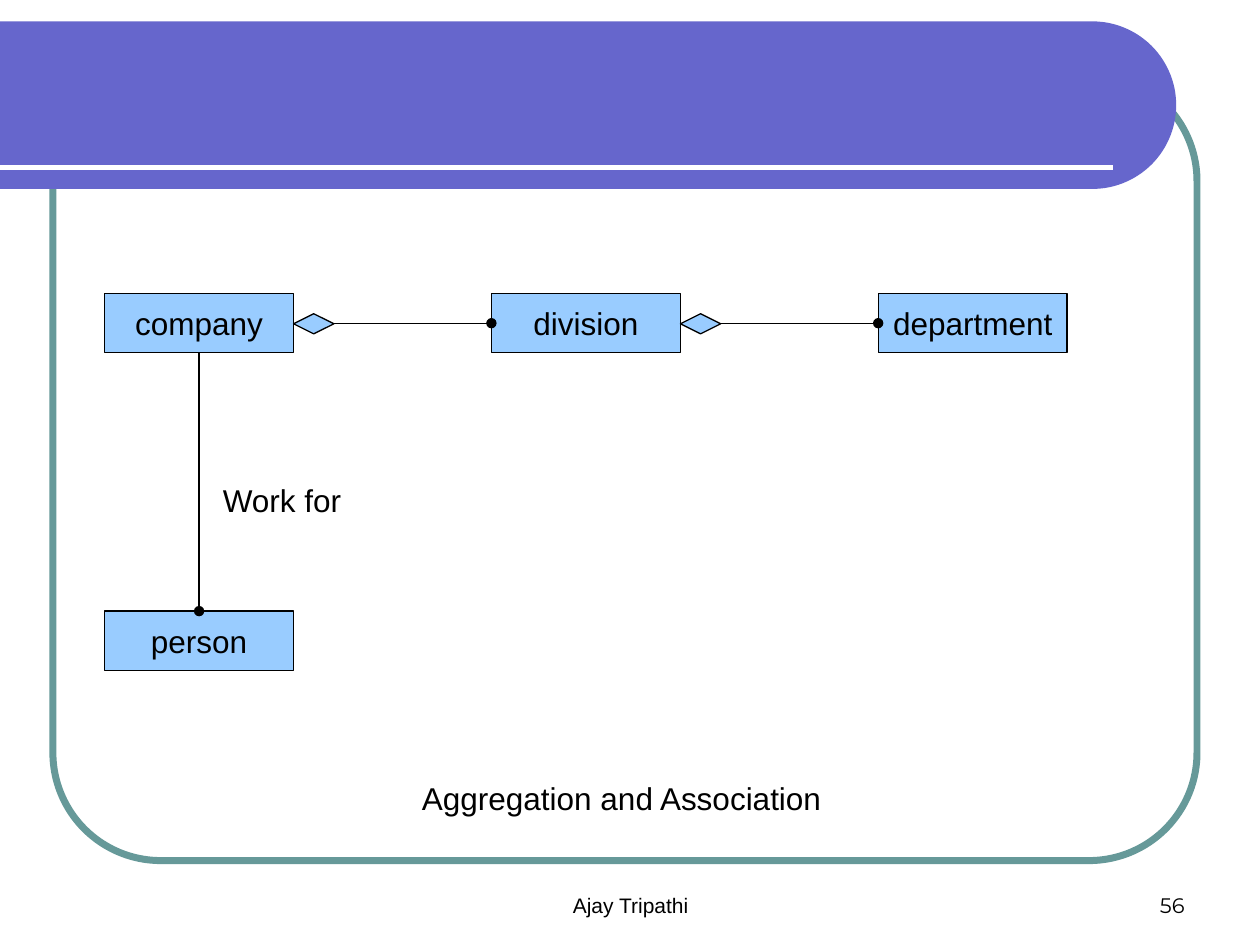
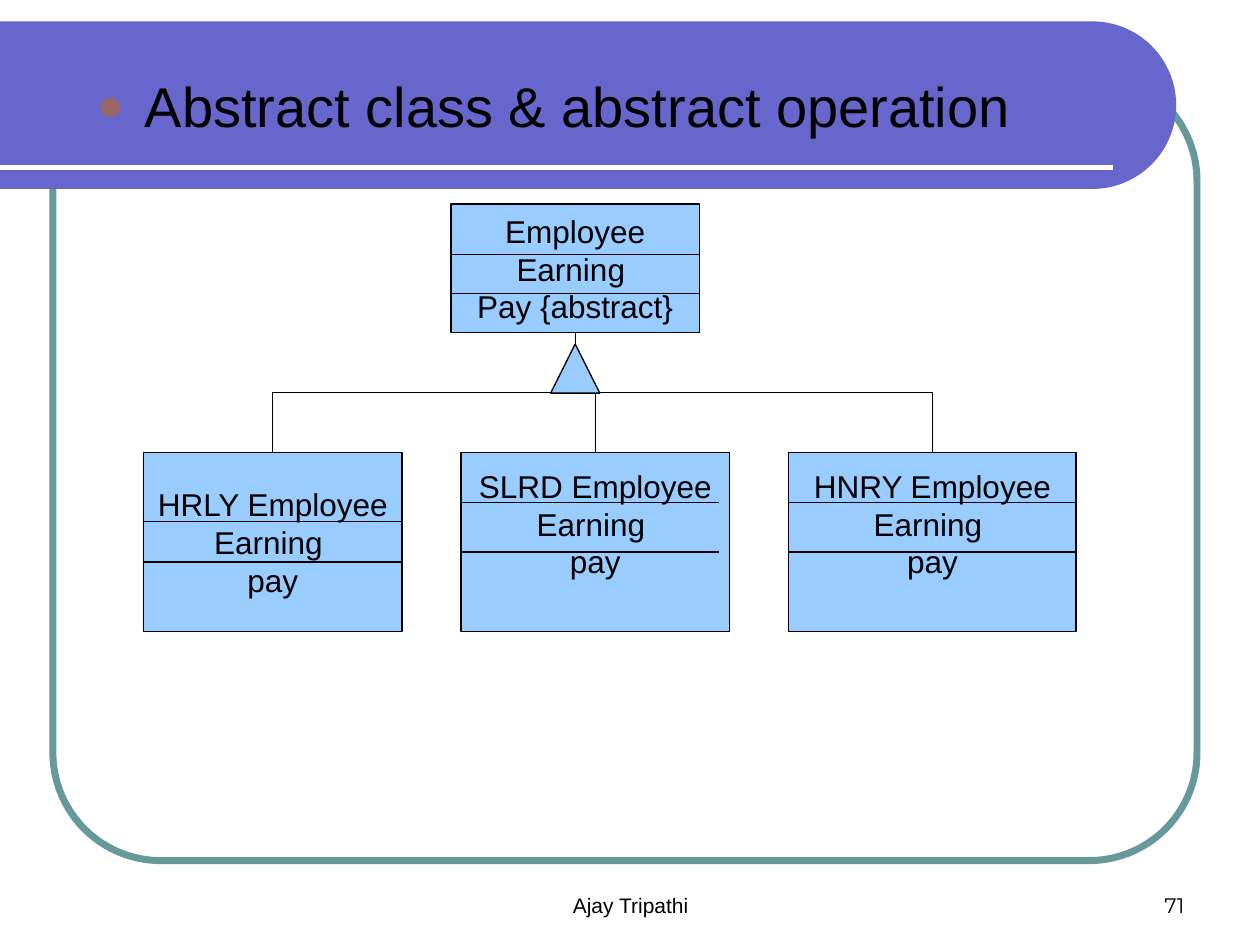
import math
from dataclasses import dataclass
from typing import Any

import pptx
import pptx.dml.color
import pptx.enum.shapes
import pptx.enum.text
import pptx.oxml
import pptx.oxml.ns
import pptx.util
from lxml import etree

Inches = pptx.util.Inches
Pt = pptx.util.Pt
Shape = pptx.enum.shapes.MSO_SHAPE
Line = pptx.enum.shapes.MSO_CONNECTOR
Align = pptx.enum.text.PP_ALIGN
Anchor = pptx.enum.text.MSO_ANCHOR
AutoSize = pptx.enum.text.MSO_AUTO_SIZE
qn = pptx.oxml.ns.qn
TOP, LEFT, BOTTOM, RIGHT = range(4)


@dataclass(frozen=True)
class Theme:
    ink: str = "000000"
    paper: str = "FFFFFF"
    band: str = "6666CC"
    frame: str = "669999"
    box: str = "99CCFF"
    bullet: str = "996666"
    font: str = "Arial"
    number_font: str = "Montserrat"
    heading: int = 32
    body: int = 18
    footer: int = 12
    thin: float = 0.75
    band_rule: float = 3
    frame_line: float = 4


THEME = Theme()


@dataclass(frozen=True)
class Area:
    left: float
    top: float
    width: float
    height: float

    def lengths(self) -> list[int]:
        return [Inches(v) for v in (self.left, self.top, self.width, self.height)]


@dataclass(frozen=True)
class ClassBox:
    area: Area
    lines: tuple[str, ...]
    rules: tuple[float, ...] = ()
    rule_width: float = 0
    bottom_inset: float = 0.05


@dataclass(frozen=True)
class Label:
    area: Area
    text: str
    size: int = THEME.body
    font: str = THEME.font
    align: Any = Align.LEFT
    frame_format: tuple = (("word_wrap", False), ("auto_size", AutoSize.SHAPE_TO_FIT_TEXT))


def rgb(value: str) -> pptx.dml.color.RGBColor:
    return pptx.dml.color.RGBColor.from_string(value)


def apply(target: Any, values: dict[str, Any]) -> None:
    for name, value in values.items():
        setattr(target, name, value)


def set_line(line: Any, color: str = THEME.ink, width: float = THEME.thin) -> None:
    line.color.rgb = rgb(color)
    line.width = Pt(width)


def write(frame: Any, lines: tuple[str, ...], align: Any,
          size: int = THEME.body, font: str = THEME.font) -> None:
    for index, text in enumerate(lines):
        paragraph = frame.add_paragraph() if index else frame.paragraphs[0]
        paragraph.text = text
        paragraph.alignment = align
        apply(paragraph.font, {"size": Pt(size), "name": font})
        paragraph.font.color.rgb = rgb(THEME.ink)


def add_shape(slide: Any, kind: Any, area: Area, fill: str = THEME.box) -> Any:
    shape = slide.shapes.add_shape(kind, *area.lengths())
    shape.shadow.inherit = False
    shape.fill.solid()
    shape.fill.fore_color.rgb = rgb(fill)
    set_line(shape.line)
    return shape


def add_line(slide: Any, start: tuple[float, float], end: tuple[float, float],
             kind: Any = Line.STRAIGHT, color: str = THEME.ink,
             width: float = THEME.thin) -> Any:
    line = slide.shapes.add_connector(kind, *[Inches(v) for v in (*start, *end)])
    set_line(line.line, color, width)
    etree.SubElement(line.element.spPr, qn("a:effectLst"))
    return line


def add_label(slide: Any, label: Label) -> None:
    holder = slide.shapes.add_textbox(*label.area.lengths())
    apply(holder.text_frame, dict(label.frame_format))
    write(holder.text_frame, (label.text,), label.align, label.size, label.font)


def add_class(slide: Any, box: ClassBox) -> Any:
    shape = add_shape(slide, Shape.RECTANGLE, box.area)
    apply(shape.text_frame, {"word_wrap": False, "vertical_anchor": Anchor.MIDDLE,
                             "margin_bottom": Inches(box.bottom_inset)})
    write(shape.text_frame, box.lines, Align.CENTER)
    right = box.area.left + (box.rule_width or box.area.width)
    for y in box.rules:
        add_line(slide, (box.area.left, y), (right, y))
    return shape


def add_association(slide: Any, source: Any, source_side: int,
                    target: Any, target_side: int) -> None:
    line = add_line(slide, (0, 0), (1, 1))
    line.begin_connect(source, source_side)
    line.end_connect(target, target_side)
    tail = etree.SubElement(line.line._get_or_add_ln(), qn("a:tailEnd"))
    tail.set("type", "oval")


def add_inheritance(slide: Any, parent: Any, child: Any) -> None:
    """Elbow that leaves the parent downwards and enters the child from above."""
    start_x, start_y = parent.left + parent.width // 2, parent.top + parent.height
    end_x, end_y = child.left + child.width // 2, child.top
    elbow = add_line(slide, (0, 0), (1, 1), Line.ELBOW)
    elbow.begin_connect(parent, BOTTOM)
    elbow.end_connect(child, TOP)
    drop, reach = end_y - start_y, abs(end_x - start_x)
    apply(elbow, {"left": (start_x + end_x - drop) // 2,
                  "top": (start_y + end_y - reach) // 2,
                  "width": drop, "height": reach})
    to_right = end_x > start_x
    transform = elbow.element.spPr.find(qn("a:xfrm"))
    transform.set("rot", str((270 if to_right else 90) * 60000))
    transform.set("flipH", "1" if to_right else "0")
    transform.set("flipV", "0")


def add_backdrop(slide: Any, number: str) -> None:
    # Rounded frame
    frame = add_shape(slide, Shape.ROUNDED_RECTANGLE, Area(0.42, 0.58, 9.08, 6.25))
    frame.adjustments[0] = 0.137
    frame.fill.background()
    set_line(frame.line, THEME.frame, THEME.frame_line)

    # Band with a half-round right end
    top, radius, center_x = 0.17, 0.665, 8.67
    arc = [(center_x + radius * math.sin(math.radians(a)),
            top + radius - radius * math.cos(math.radians(a))) for a in range(0, 181, 3)]
    builder = slide.shapes.build_freeform(0, Inches(top))
    builder.add_line_segments([(Inches(x), Inches(y)) for x, y in arc]
                              + [(0, Inches(top + 2 * radius))])
    band = builder.convert_to_shape()
    band.shadow.inherit = False
    band.fill.solid()
    band.fill.fore_color.rgb = rgb(THEME.band)
    band.line.fill.background()
    add_line(slide, (0, 1.33), (8.83, 1.33), color=THEME.paper, width=THEME.band_rule)

    # Footer
    footer_format = (("word_wrap", True), ("vertical_anchor", Anchor.BOTTOM))
    for label in (
        Label(Area(3.42, 6.83, 3.17, 0.5), "Ajay Tripathi", THEME.footer,
              THEME.font, Align.CENTER, footer_format),
        Label(Area(7.17, 6.83, 2.33, 0.5), number, THEME.footer,
              THEME.number_font, Align.RIGHT, footer_format),
    ):
        add_label(slide, label)


def add_heading(slide: Any, text: str) -> None:
    title, body = slide.shapes.title, slide.placeholders[1]
    title.element.getparent().remove(title.element)
    body.element.getparent().append(body.element)  # bring in front of the band
    apply(body, dict(zip(("left", "top", "width", "height"),
                         Area(0.67, 0.52, 8.67, 6.06).lengths())))
    body.text_frame.auto_size = AutoSize.NONE
    paragraph = body.text_frame.paragraphs[0]
    properties = paragraph._p.get_or_add_pPr()
    properties.set("marL", str(Inches(0.38)))
    properties.set("indent", str(-Inches(0.38)))
    color = etree.SubElement(properties, qn("a:buClr"))
    etree.SubElement(color, qn("a:srgbClr")).set("val", THEME.bullet)
    etree.SubElement(properties, qn("a:buSzPct")).set("val", "80000")
    etree.SubElement(properties, qn("a:buChar")).set("char", "●")
    paragraph.space_before = Pt(0)
    write(body.text_frame, (text,), Align.LEFT, THEME.heading)


def build_association(deck: Any) -> None:
    slide = deck.slides.add_slide(deck.slide_layouts[6])
    add_backdrop(slide, "56")

    # Classes: one row of three, and one below the first
    left, top, step, width, height = 0.83, 2.33, 3.07, 1.5, 0.47
    company, division, department = [
        add_class(slide, ClassBox(Area(left + i * step, top, width, height), (name,)))
        for i, name in enumerate(("company", "division", "department"))]
    person = add_class(slide, ClassBox(Area(left, 4.85, width, height), ("person",)))

    # Associations, with a diamond at each whole
    add_association(slide, company, RIGHT, division, LEFT)
    add_association(slide, division, RIGHT, department, LEFT)
    add_association(slide, company, BOTTOM, person, TOP)
    for i in range(2):
        add_shape(slide, Shape.DIAMOND, Area(left + width + i * step, 2.49, 0.32, 0.16))

    add_label(slide, Label(Area(1.67, 3.77, 1.14, 0.4), "Work for"))
    add_label(slide, Label(Area(3.25, 6.13, 3.38, 0.4), "Aggregation and Association"))


def build_abstract_class(deck: Any) -> None:
    slide = deck.slides.add_slide(deck.slide_layouts[1])
    add_backdrop(slide, "71")
    add_heading(slide, "Abstract class & abstract operation")

    # Parent class and its three subclasses
    members = ("Earning ", "pay")
    top, height, raised = 3.59, 1.42, 0.34
    employee = add_class(slide, ClassBox(
        Area(3.58, 1.62, 1.97, 1.02), ("Employee", "Earning ", "Pay {abstract}"),
        (2.02, 2.33)))
    subclasses = [add_class(slide, box) for box in (
        ClassBox(Area(1.14, top, 2.05, height), ("HRLY Employee", *members), (4.14, 4.46)),
        ClassBox(Area(3.66, top, 2.13, height), ("SLRD Employee", *members),
                 (3.99, 4.38), 2.05, raised),
        ClassBox(Area(6.26, top, 2.28, height), ("HNRY Employee", *members),
                 (3.99, 4.38), bottom_inset=raised),
    )]

    # Inheritance
    for subclass in subclasses:
        add_inheritance(slide, employee, subclass)
    add_shape(slide, Shape.ISOSCELES_TRIANGLE, Area(4.37, 2.73, 0.39, 0.39))


def main() -> None:
    deck = pptx.Presentation()
    deck.slide_width, deck.slide_height = Inches(10), Inches(7.5)
    build_association(deck)
    build_abstract_class(deck)
    deck.save("out.pptx")


if __name__ == "__main__":
    main()
